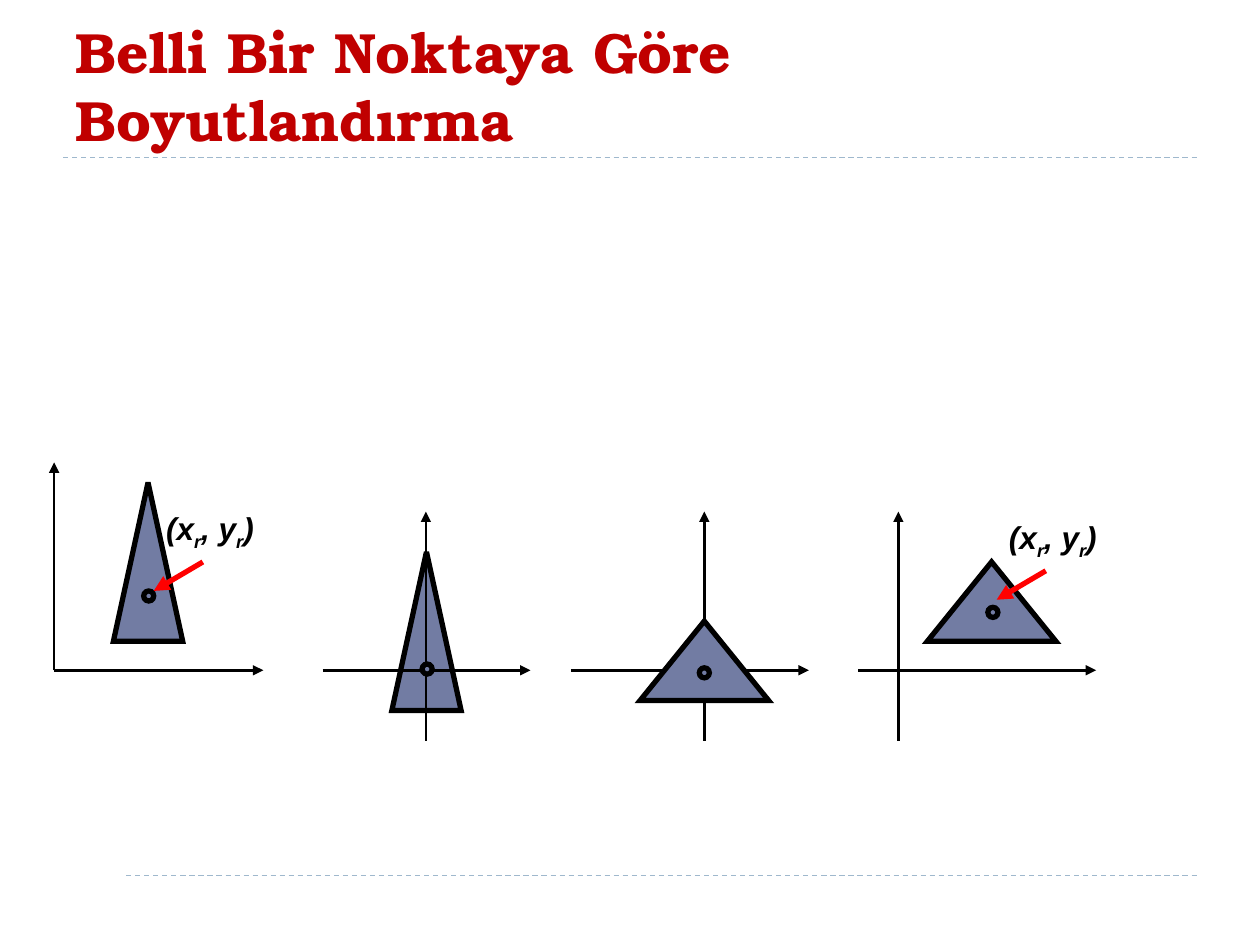
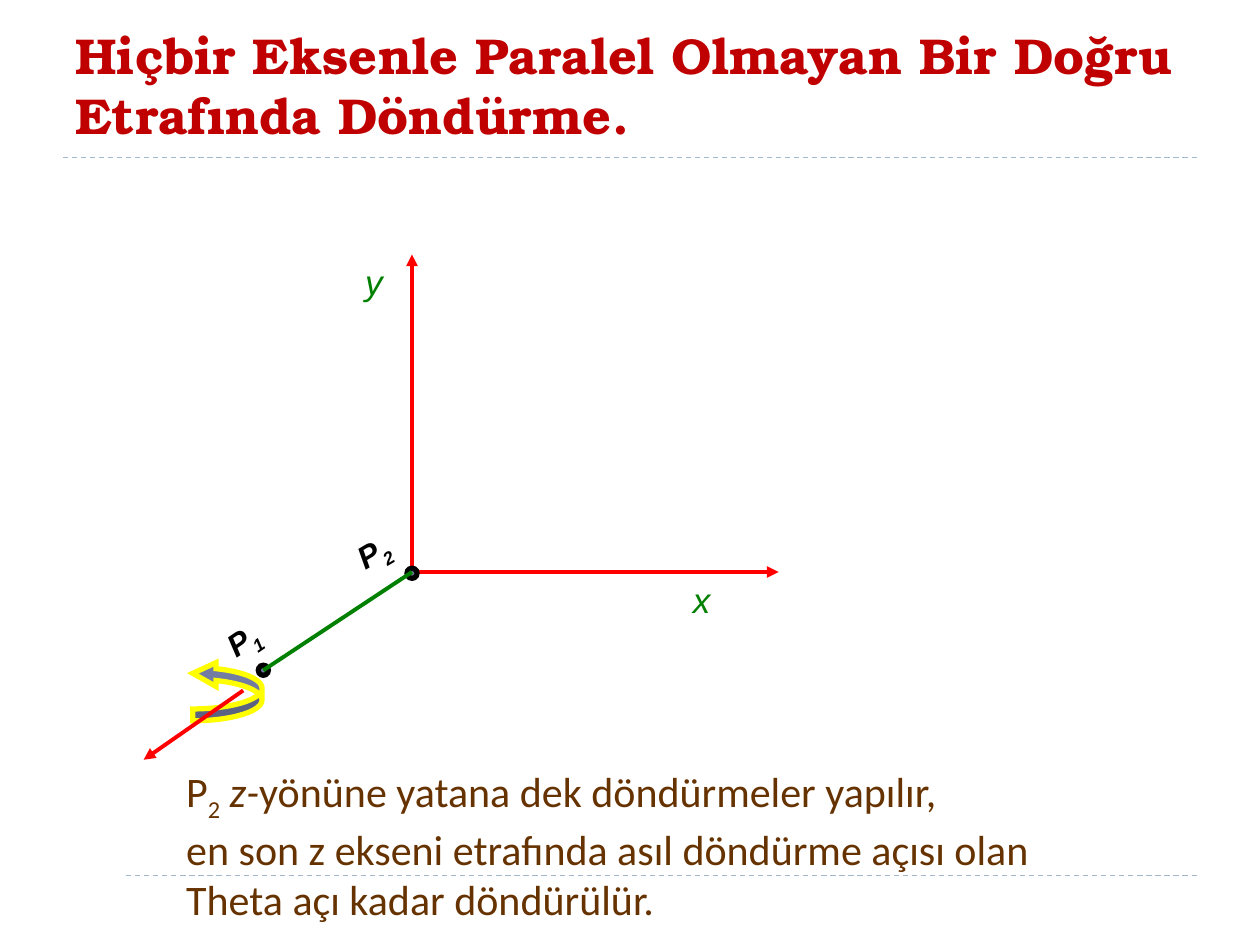
from lxml import etree
from pptx import Presentation
from pptx.dml.color import RGBColor
from pptx.enum import dml, shapes, text
from pptx.oxml import ns
from pptx.util import Inches, Pt

BLACK, WHITE, RED, GREEN = "000000", "FFFFFF", "FF0000", "008000"
YELLOW, BROWN, TITLE_RED = "FFFF00", "663300", "C00000"
SLATE, RULE_BLUE = "727CA3", "9FB8CD"
TITLE_FONT, LABEL_FONT, BODY_FONT = "TeX Gyre Bonum", "Arial", "Calibri"
DOT = 0.08
SUB = {"subscript": True}
SHAPE = shapes.MSO_SHAPE


def rgb(value):
    return RGBColor.from_string(value)


def add_xml(parent, tag, **attributes):
    etree.SubElement(parent, ns.qn(tag), attributes)


def write(shape, runs, size, color, font=LABEL_FONT, bold=False, italic=False):
    """Fill a shape with one paragraph of (text, overrides) runs; a newline is a line break."""
    paragraph = shape.text_frame.paragraphs[0]
    paragraph.alignment = text.PP_ALIGN.LEFT
    paragraph.space_before = Pt(0)
    for words, overrides in runs:
        if words == "\n":
            paragraph.add_line_break()
            continue
        run = paragraph.add_run()
        run.text = words
        run.font.name = font
        run.font.size = Pt(size)
        run.font.bold = bold
        run.font.italic = overrides.get("italic", italic)
        run.font.color.rgb = rgb(color)
        if overrides.get("subscript"):
            run._r.get_or_add_rPr().set("baseline", "-25000")


def add_text(slide, left, top, width, height, runs, rotation=0, **style):
    box = slide.shapes.add_textbox(Inches(left), Inches(top), Inches(width), Inches(height))
    box.rotation = rotation
    box.text_frame.word_wrap = True
    box.text_frame.auto_size = text.MSO_AUTO_SIZE.SHAPE_TO_FIT_TEXT
    write(box, runs, **style)


def add_line(slide, start, end, color=BLACK, width=1.5, arrow=True, dash=None):
    line = slide.shapes.add_connector(
        shapes.MSO_CONNECTOR.STRAIGHT, *(Inches(value) for value in (*start, *end)))
    line.line.color.rgb = rgb(color)
    line.line.width = Pt(width)
    if dash:
        line.line.dash_style = dash
    properties = line.element.spPr
    if arrow:
        add_xml(properties.find(ns.qn("a:ln")), "a:tailEnd", type="triangle")
    add_xml(properties, "a:effectLst")


def add_figure(slide, kind, left, top, width, height, fill=SLATE, line=BLACK, rotation=0):
    figure = slide.shapes.add_shape(
        kind, Inches(left), Inches(top), Inches(width), Inches(height))
    figure.shadow.inherit = False
    figure.rotation = rotation
    figure.fill.solid()
    figure.fill.fore_color.rgb = rgb(fill)
    if line is None:
        figure.line.fill.background()
    else:
        figure.line.color.rgb = rgb(line)
        figure.line.width = Pt(3)
        add_xml(figure.element.spPr.find(ns.qn("a:ln")), "a:miter", lim="800000")
    return figure


def add_dot(slide, x, y, rotation=0):
    """Draw a ring centred on a point."""
    add_figure(slide, SHAPE.FLOWCHART_CONNECTOR, x - DOT / 2, y - DOT / 2, DOT, DOT,
               rotation=rotation)


def add_base_slide(presentation, title, title_size):
    """Add a slide with the dashed rules, the corner patch and the title."""
    slide = presentation.slides.add_slide(presentation.slide_layouts[5])
    for y in (6.95, 1.25):
        add_line(slide, (0.5, y), (9.5, y), RULE_BLUE, 0.75, arrow=False,
                 dash=dml.MSO_LINE.DASH)
    add_figure(slide, SHAPE.RECTANGLE, 0.35, 6.82, 0.63, 0.63, WHITE, line=None)
    heading = slide.shapes.title
    heading.left, heading.top = Inches(0.5), Inches(0.13)
    heading.width, heading.height = Inches(9), Inches(1.08)
    heading.text_frame.auto_size = text.MSO_AUTO_SIZE.NONE
    heading.text_frame.vertical_anchor = text.MSO_ANCHOR.MIDDLE
    write(heading, [(title, {})], title_size, TITLE_RED, TITLE_FONT, bold=True)
    return slide


def add_point_label(slide, left, top):
    """Write (xr, yr) with a red arrow running down to the fixed point."""
    runs = [("(x", {}), ("r", SUB), (", y", {}), ("r", SUB), (")", {})]
    add_text(slide, left, top, 1.1, 0.4, runs, size=18, color=BLACK, bold=True, italic=True)
    add_line(slide, (left + 0.39, top + 0.47), (left, top + 0.7), RED, 3)


def add_scaling_step(slide, left, top, width, height, origin, triangle, dot,
                     label=None, axes_on_top=False):
    """Draw axes crossing at origin, a triangle and its fixed point, all relative to the box."""
    x, y = left + origin[0], top + origin[1]

    def add_triangle():
        dx, dy, *size = triangle
        kind = SHAPE.FLOWCHART_EXTRACT if size[1] > size[0] else SHAPE.ISOSCELES_TRIANGLE
        add_figure(slide, kind, left + dx, top + dy, *size)

    def add_axes():
        add_line(slide, (x, top + height), (x, top))
        add_line(slide, (left, y), (left + width, y))

    layers = (add_triangle, add_axes) if axes_on_top else (add_axes, add_triangle)
    for draw in layers:
        draw()
    add_dot(slide, left + dot[0], top + dot[1])
    if label:
        add_point_label(slide, left + label[0], top + label[1])


def build_scaling_slide(presentation):
    slide = add_base_slide(presentation, "Belli Bir Noktaya Göre Boyutlandırma", 32.4)
    tall, wide = (0.55, 1.26), (1.02, 0.63)
    top, height, axis = 4.06, 1.82, 1.26
    add_scaling_step(slide, 0.43, 3.67, 1.66, 1.65, origin=(0, 1.65),
                     triangle=(0.47, 0.16, *tall), dot=(0.75, 1.06), label=(0.79, 0.32))
    add_scaling_step(slide, 2.56, top, 1.65, height, origin=(0.82, axis),
                     triangle=(0.55, 0.32, *tall), dot=(0.83, 1.25), axes_on_top=True)
    add_scaling_step(slide, 4.53, top, 1.89, height, origin=(1.06, axis),
                     triangle=(0.55, 0.87, *wide), dot=(1.06, 1.28))
    add_scaling_step(slide, 6.81, top, 1.89, height, origin=(0.32, axis),
                     triangle=(0.55, 0.4, *wide), dot=(1.07, 0.8), label=(1.1, 0))


def add_rotation_axes(slide, x, y):
    """Draw the axes and the line P1-P2 around the origin (x, y)."""
    add_line(slide, (x, y), (x, y - 2.52), RED, 2.25)
    for name, dx, dy, width in (("x", 2.13, 0, 0.47), ("y", -0.47, -2.52, 0.55)):
        add_text(slide, x + dx, y + dy, width, 0.43, [(name, {})],
                 size=20, color=GREEN, italic=True)
    add_line(slide, (x, y), (x + 2.91, y), RED, 2.25)
    for number, dot, label, angle in (("1", (-1.18, 0.78), (-1.6, 0.24), 325.7),
                                      ("2", (0, 0.01), (-0.56, -0.45), 329.4)):
        add_dot(slide, x + dot[0], y + dot[1], rotation=29.3)
        add_text(slide, x + label[0], y + label[1], 0.79, 0.4, [("P", {}), (number, SUB)],
                 rotation=angle, size=18, color=BLACK, bold=True, italic=True)
    add_line(slide, (x, y), (x - 1.18, y + 0.78), GREEN, 2.25, arrow=False)
    turn = add_figure(slide, SHAPE.CURVED_RIGHT_ARROW, x - 1.74, y + 0.71, 0.55, 0.47,
                      line=YELLOW, rotation=180)
    for index, value in enumerate((0.2, 0.4, 0.39)):
        turn.adjustments[index] = value
    add_line(slide, (x - 1.34, y + 0.94), (x - 2.13, y + 1.49), RED, 2.25)


def build_rotation_slide(presentation):
    slide = add_base_slide(
        presentation, "Hiçbir Eksenle Paralel Olmayan Bir Doğru Etrafında Döndürme.", 28.8)
    add_rotation_axes(slide, 3.27, 4.54)
    runs = [("P", {}), ("2", SUB), (" z-", {"italic": True}),
            ("yönüne yatana dek döndürmeler yapılır,", {}), ("\n", {}),
            ("en son z ekseni etrafında asıl döndürme açısı olan "
             "Theta açı kadar döndürülür.", {})]
    add_text(slide, 1.38, 6.03, 7.17, 1.31, runs, size=24, color=BROWN, font=BODY_FONT)


def main():
    presentation = Presentation()
    presentation.slide_width, presentation.slide_height = Inches(10), Inches(7.5)
    build_scaling_slide(presentation)
    build_rotation_slide(presentation)
    presentation.save("out.pptx")


if __name__ == "__main__":
    main()
